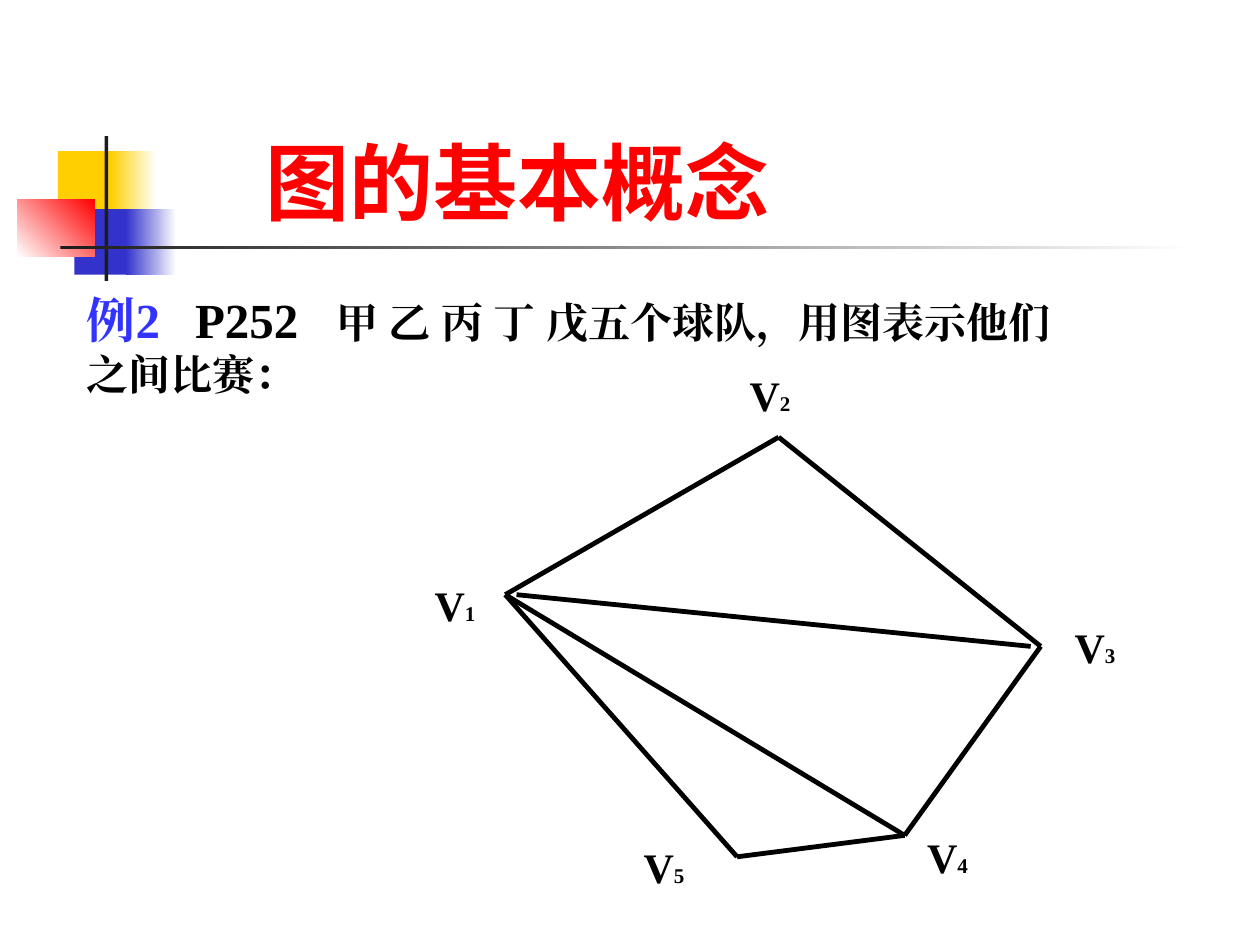
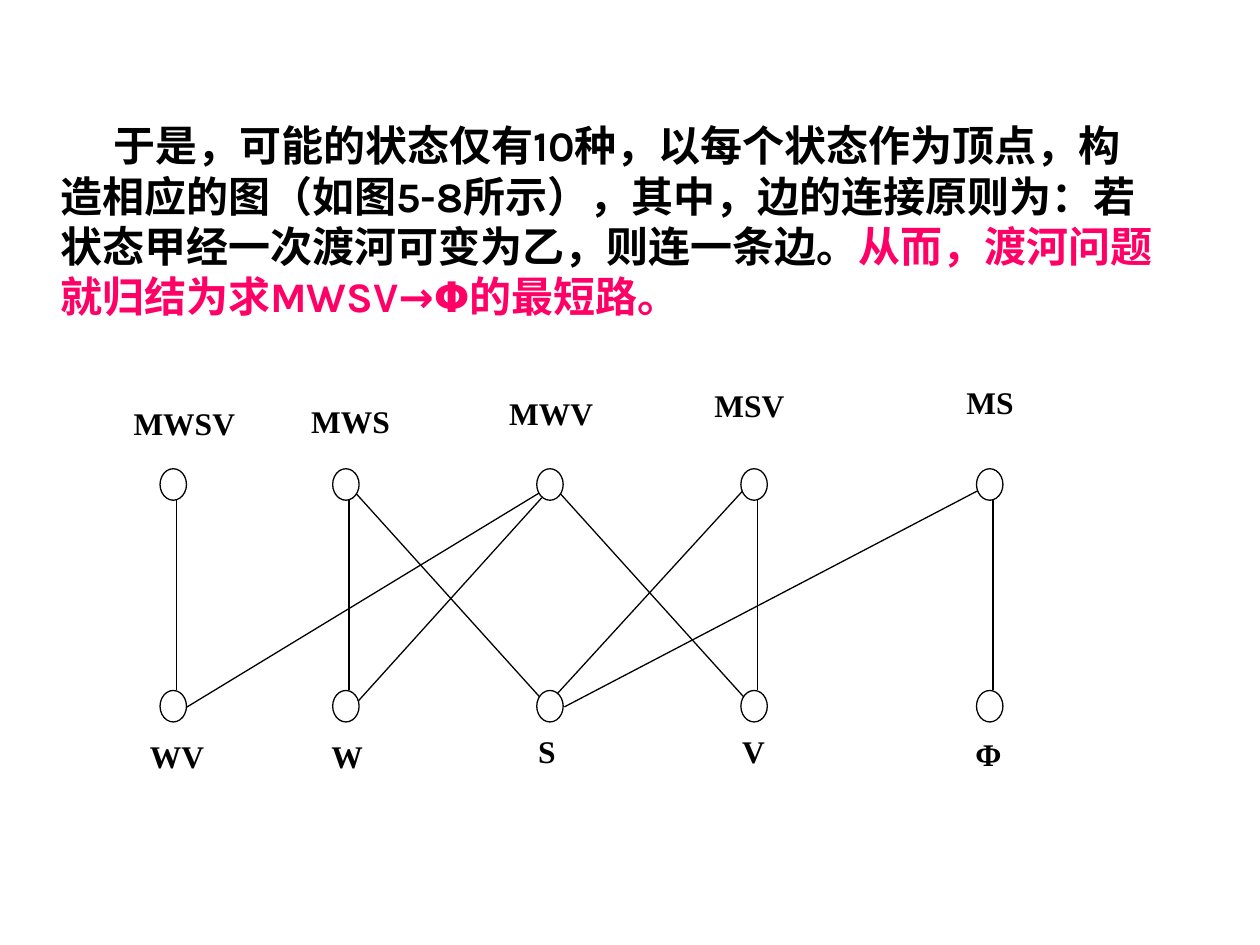
from dataclasses import dataclass

from lxml.etree import SubElement
from pptx import Presentation
from pptx.dml.color import RGBColor
from pptx.enum.shapes import MSO_CONNECTOR, MSO_SHAPE
from pptx.enum.text import MSO_ANCHOR
from pptx.oxml.ns import qn
from pptx.util import Inches, Pt


@dataclass(frozen=True)
class Theme:
    black: str = "000000"
    white: str = "FFFFFF"
    red: str = "FF0000"
    yellow: str = "FFCF01"
    indigo: str = "3333CC"
    charcoal: str = "1C1C1C"
    example_blue: str = "3333FF"
    emphasis_pink: str = "FF0066"
    sans: str = "Karla"
    serif: str = "Times New Roman"
    title_size: int = 48
    lead_size: int = 28
    body_size: int = 24
    state_size: int = 18
    subscript_size: int = 12
    edge_width: float = 2.75
    thin_width: float = 0.75


THEME = Theme()


def color(value):
    return RGBColor.from_string(value)


def add_text(slide, box, runs, font=THEME.serif, size=THEME.body_size,
             fill=THEME.black, inset=(0.1, 0.05), indent=None, tabs=()):
    """Each run is (text, overrides); overrides may hold size and fill."""
    shape = slide.shapes.add_textbox(*map(Inches, box))
    frame = shape.text_frame
    frame.word_wrap = True
    frame.vertical_anchor = MSO_ANCHOR.TOP
    frame.margin_left = frame.margin_right = Inches(inset[0])
    frame.margin_top = frame.margin_bottom = Inches(inset[1])
    paragraph = frame.paragraphs[0]
    properties = paragraph._p.get_or_add_pPr()
    if indent:
        left, first_line = indent
        properties.set("marL", str(Inches(left)))
        properties.set("indent", str(Inches(first_line)))
    if tabs:
        tab_list = SubElement(properties, qn("a:tabLst"))
        for position in tabs:
            SubElement(tab_list, qn("a:tab"), pos=str(Inches(position)), algn="l")
    for text, overrides in runs:
        run = paragraph.add_run()
        run.text = text
        run.font.name = font
        run.font.bold = True
        run.font.size = Pt(overrides.get("size", size))
        run.font.color.rgb = color(overrides.get("fill", fill))
        SubElement(run._r.get_or_add_rPr(), qn("a:ea"), typeface=font)
    return shape


def add_block(slide, box, start, end=None, angle=0):
    """Rectangle with a plain fill, or a gradient when an end colour is given."""
    shape = slide.shapes.add_shape(MSO_SHAPE.RECTANGLE, *map(Inches, box))
    shape.shadow.inherit = False
    shape.line.fill.background()
    if end:
        shape.fill.gradient()
        shape.fill.gradient_angle = angle
        for stop, value in zip(shape.fill.gradient_stops, (start, end)):
            stop.color.rgb = color(value)
    else:
        shape.fill.solid()
        shape.fill.fore_color.rgb = color(start)


def add_edge(slide, origin, start, end, width):
    left, top = origin
    connector = slide.shapes.add_connector(
        MSO_CONNECTOR.STRAIGHT,
        Inches(left + start[0]), Inches(top + start[1]),
        Inches(left + end[0]), Inches(top + end[1]))
    connector.line.color.rgb = color(THEME.black)
    connector.line.width = Pt(width)
    SubElement(connector._element.spPr, qn("a:effectLst"))


def add_title_band(slide, origin):
    """Coloured squares with crossing bars beside the title."""
    left, top = origin
    blocks = [
        ((0.32, 0.12, 0.48, 0.52), THEME.yellow),
        ((0.74, 0.12, 0.36, 0.52), THEME.yellow, THEME.white),
        ((0.45, 0.58, 0.46, 0.52), THEME.indigo),
        ((0.86, 0.58, 0.40, 0.52), THEME.indigo, THEME.white),
        ((0, 0.50, 0.61, 0.46), THEME.white, THEME.red, 45),
        ((0.69, 0, 0.03, 1.15), THEME.charcoal),
        ((0.34, 0.87, 9, 0.03), THEME.charcoal, THEME.white),
    ]
    for (x, y, width, height), *fills in blocks:
        add_block(slide, (left + x, top + y, width, height), *fills)


def add_match_graph(slide, origin):
    """Five teams as vertices, their matches as edges."""
    left, top = origin
    vertices = {1: (0.66, 1.84), 2: (2.83, 0.59), 3: (4.91, 2.25),
                4: (3.83, 3.75), 5: (2.5, 3.92)}
    for first, second in [(1, 2), (2, 3), (5, 1), (5, 4), (4, 1), (4, 3)]:
        add_edge(slide, origin, vertices[first], vertices[second], THEME.edge_width)
    # The V1-V3 edge stops just short of both vertices
    add_edge(slide, origin, (0.75, 1.84), (4.83, 2.25), THEME.edge_width)

    labels = {1: (0, 1.67), 2: (2.5, 0), 3: (5.08, 2),
              4: (3.91, 3.67), 5: (1.66, 3.75)}
    for number, (x, y) in labels.items():
        add_text(slide, (left + x, top + y, 0.58, 0.5),
                 [("V", {}), (str(number), {"size": THEME.subscript_size})])


def add_state_graph(slide, origin):
    """Two rows of river-crossing states joined by single crossings."""
    left, top = origin
    columns = (0.21, 1.58, 3.2, 4.82, 6.69)
    top_row, bottom_row = 0.68, 2.44
    node_width, node_height = 0.21, 0.25

    # Diagonal crossings, behind the nodes
    diagonals = [
        ((3.42, 2.57), (6.71, 0.85)),
        ((3.35, 2.48), (4.84, 0.85)),
        ((3.38, 0.87), (4.86, 2.51)),
        ((1.76, 2.55), (3.24, 0.91)),
        ((0.41, 2.58), (3.24, 0.86)),
        ((1.76, 0.87), (3.24, 2.51)),
    ]
    for start, end in diagonals:
        add_edge(slide, origin, start, end, THEME.thin_width)

    # Nodes
    for y in (top_row, bottom_row):
        for x in columns:
            node = slide.shapes.add_shape(
                MSO_SHAPE.FLOWCHART_CONNECTOR, Inches(left + x), Inches(top + y),
                Inches(node_width), Inches(node_height))
            node.shadow.inherit = False
            node.fill.solid()
            node.fill.fore_color.rgb = color(THEME.white)
            node.line.color.rgb = color(THEME.black)
            node.line.width = Pt(THEME.thin_width)

    # Vertical crossings
    for column in (0, 1, 3, 4):
        x = columns[column] + 0.13
        add_edge(slide, origin, (x, top_row + node_height), (x, bottom_row),
                 THEME.thin_width)

    # State names
    names = [
        ("MWSV", 0, 0.17), ("MWS", 1.41, 0.15), ("MWV", 2.98, 0.09),
        ("MSV", 4.61, 0.02), ("MS", 6.61, 0),
        ("WV", 0.13, 2.81), ("W", 1.57, 2.81), ("S", 3.21, 2.77),
        ("V", 4.83, 2.77), ("Φ", 6.68, 2.79),
    ]
    for name, x, y in names:
        add_text(slide, (left + x, top + y, 0.85, 0.45), [(name, {})],
                 size=THEME.state_size, inset=(0, 0))


def add_concept_slide(presentation):
    slide = presentation.slides.add_slide(presentation.slide_layouts[6])
    add_title_band(slide, (0.14, 1.08))
    add_text(slide, (0.59, 2.25, 8, 0.97), [
        ("例2\t", {"size": THEME.lead_size, "fill": THEME.example_blue}),
        ("P252\t", {"size": THEME.lead_size}),
        ("甲 乙 丙 丁 戊五个球队，用图表示他们之间比赛：", {}),
    ], tabs=(0.86, 1.98))
    add_match_graph(slide, (3.35, 2.88))
    add_text(slide, (2.01, 0.99, 6.5, 0.9), [("图的基本概念", {})],
             font=THEME.sans, size=THEME.title_size, fill=THEME.red)


def add_crossing_slide(presentation):
    slide = presentation.slides.add_slide(presentation.slide_layouts[6])
    add_text(slide, (0, 0.9, 9.26, 2.15), [
        ("于是，可能的状态仅有10种，以每个状态作为顶点，构造相应的图"
         "（如图5-8所示），其中，边的连接原则为：若状态甲经一次渡河可变为乙，"
         "则连一条边。", {}),
        ("从而，渡河问题就归结为求MWSV→Φ的最短路。",
         {"fill": THEME.emphasis_pink}),
    ], font=THEME.sans, indent=(0.38, 0.42))
    add_state_graph(slide, (1.06, 3.04))


def main():
    presentation = Presentation()
    presentation.slide_width = Inches(10)
    presentation.slide_height = Inches(7.5)
    add_concept_slide(presentation)
    add_crossing_slide(presentation)
    presentation.save("out.pptx")


if __name__ == "__main__":
    main()
